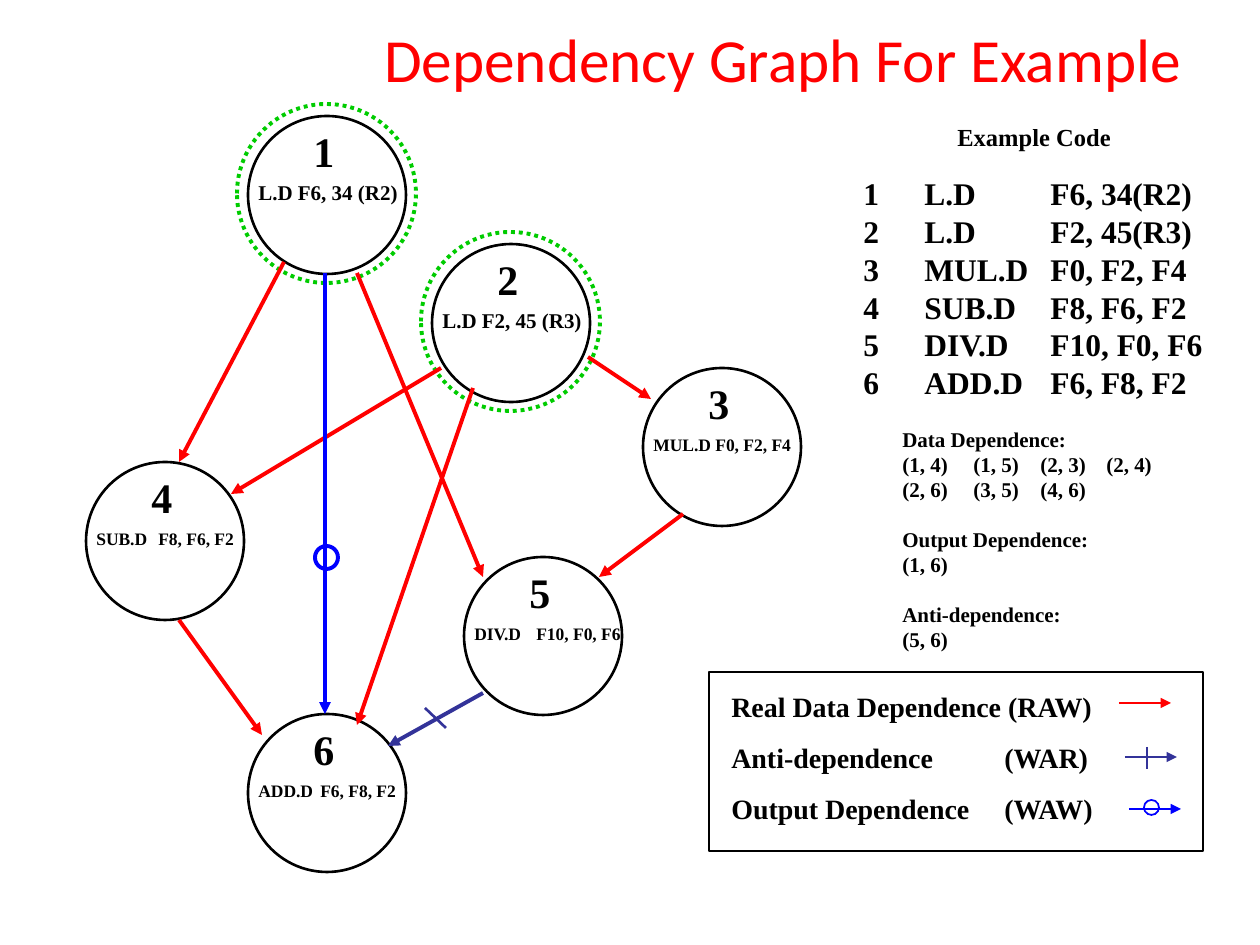
"""Build a slide with an instruction dependency graph, its code and its legend."""
import lxml.etree
import pptx
import pptx.dml.color
import pptx.enum.dml
import pptx.enum.shapes
import pptx.enum.text
import pptx.oxml.ns
import pptx.util

PX = 914400 / 126
SERIF = "Times New Roman"
BLACK = pptx.dml.color.RGBColor(0x00, 0x00, 0x00)
RED = pptx.dml.color.RGBColor(0xFF, 0x00, 0x00)
GREEN = pptx.dml.color.RGBColor(0x00, 0xCC, 0x00)
BLUE = pptx.dml.color.RGBColor(0x00, 0x00, 0xFF)
INDIGO = pptx.dml.color.RGBColor(0x33, 0x33, 0x99)
OVAL = pptx.enum.shapes.MSO_SHAPE.OVAL
RECTANGLE = pptx.enum.shapes.MSO_SHAPE.RECTANGLE
NODE_SIZE = 158
RING_SIZE = 179

NODES = [
    ("1", "L.D F6, 34 (R2)", 162, 13, True),
    ("2", "L.D F2, 45 (R3)", 346, 141, True),
    ("3", "MUL.D\tF0, F2, F4", 557, 265, False),
    ("4", "SUB.D\tF8, F6, F2", 0, 359, False),
    ("5", "DIV.D\tF10, F0, F6", 378, 454, False),
    ("6", "ADD.D\tF6, F8, F2", 162, 611, False),
]
DATA_DEPENDENCES = [
    (198, 159, 93, 359),
    (271, 170, 397, 474),
    (502, 254, 565, 296),
    (355, 265, 145, 391),
    (387, 285, 271, 622),
    (597, 411, 513, 474),
    (93, 517, 176, 632),
]
CODE = [
    "L.D\tF6, 34(R2)",
    "L.D\tF2, 45(R3)",
    "MUL.D\tF0, F2, F4",
    "SUB.D\tF8, F6, F2",
    "DIV.D\tF10, F0, F6",
    "ADD.D\tF6, F8, F2",
]
DEPENDENCES = [
    "Data Dependence:",
    "(1, 4)\t(1, 5)\t(2, 3)\t(2, 4)",
    "(2, 6)\t(3, 5)\t(4, 6)",
    "Output Dependence:",
    "(1, 6)",
    "Anti-dependence:",
    "(5, 6)",
]
LEGEND = [
    "Real Data Dependence (RAW)",
    "Anti-dependence\t(WAR)",
    "Output Dependence\t(WAW)",
]


def px(length):
    """Turn a length in px into EMU."""
    return pptx.util.Emu(round(length * PX))


def add_text(slide, lines, left, top, width, height, *, size, font=SERIF, color=BLACK,
             bold=True, align=pptx.enum.text.PP_ALIGN.LEFT,
             anchor=pptx.enum.text.MSO_ANCHOR.TOP, tabs=(), gaps=None):
    """Add lines of text with tab stops in px and gaps in points by line index."""
    frame = slide.shapes.add_textbox(px(left), px(top), px(width), px(height)).text_frame
    frame.word_wrap = True
    frame.vertical_anchor = anchor
    for index, line in enumerate(lines):
        paragraph = frame.paragraphs[0] if index == 0 else frame.add_paragraph()
        paragraph.alignment = align
        if gaps and index in gaps:
            paragraph.space_before = pptx.util.Pt(gaps[index])
        if tabs:
            properties = paragraph._p.get_or_add_pPr()
            stops = lxml.etree.SubElement(properties, pptx.oxml.ns.qn("a:tabLst"))
            for stop in tabs:
                lxml.etree.SubElement(stops, pptx.oxml.ns.qn("a:tab"), pos=str(px(stop)), algn="l")
        run = paragraph.add_run()
        run.text = line
        run.font.name = font
        run.font.size = pptx.util.Pt(size)
        run.font.bold = bold
        run.font.color.rgb = color


def add_outline(slide, preset, left, top, width, height, color, weight, dash=None):
    """Add an unfilled preset shape."""
    outline = slide.shapes.add_shape(preset, px(left), px(top), px(width), px(height))
    outline.shadow.inherit = False
    outline.fill.background()
    outline.line.color.rgb = color
    outline.line.width = pptx.util.Pt(weight)
    if dash:
        outline.line.dash_style = dash


def add_line(slide, x1, y1, x2, y2, color, weight, arrow=True):
    """Add a straight line, with an arrowhead at its end unless told otherwise."""
    line = slide.shapes.add_connector(
        pptx.enum.shapes.MSO_CONNECTOR.STRAIGHT, px(x1), px(y1), px(x2), px(y2))
    line.line.color.rgb = color
    line.line.width = pptx.util.Pt(weight)
    properties = line._element.spPr
    if arrow:
        stroke = properties.find(pptx.oxml.ns.qn("a:ln"))
        lxml.etree.SubElement(stroke, pptx.oxml.ns.qn("a:tailEnd"), type="triangle")
    lxml.etree.SubElement(properties, pptx.oxml.ns.qn("a:effectLst"))


def add_node(slide, left, top, number, instruction, ringed):
    """Place one numbered instruction circle, ringed in dots if it is a load."""
    add_outline(slide, OVAL, left, top, NODE_SIZE, NODE_SIZE, BLACK, 1.5)
    add_text(slide, [instruction], left - 2, top + (57 if ringed else 60), 176, 38,
             size=12 if ringed else 10, tabs=() if ringed else (62,))
    add_text(slide, [number], left + 53, top + 3, 50, 63, size=24)
    if ringed:
        add_outline(slide, OVAL, left - 11, top - 12, RING_SIZE, RING_SIZE, GREEN, 2.25,
                    pptx.enum.dml.MSO_LINE.ROUND_DOT)


def add_graph(slide, left, top):
    """Place the nodes and the dependences between them."""
    for number, instruction, x, y, ringed in NODES:
        add_node(slide, left + x, top + y, number, instruction, ringed)
    for x1, y1, x2, y2 in DATA_DEPENDENCES:
        add_line(slide, left + x1, top + y1, left + x2, top + y2, RED, 2.25)
    add_line(slide, left + 339, top + 605, left + 360, top + 625, INDIGO, 1.5, arrow=False)
    add_line(slide, left + 397, top + 590, left + 302, top + 643, INDIGO, 2.25)
    add_outline(slide, OVAL, left + 229, top + 443, 23, 23, BLUE, 2.25)
    add_line(slide, left + 239, top + 170, left + 239, top + 611, BLUE, 2.25)


def add_code(slide, left, top):
    """Place the heading, the numbered code and the list of dependences."""
    numbers = [str(number) for number in range(1, len(CODE) + 1)]
    add_text(slide, ["Example Code"], left + 94, top, 190, 43, size=14)
    add_text(slide, numbers, left, top + 52, 46, 239, size=18)
    add_text(slide, CODE, left + 61, top + 52, 312, 239, size=18, tabs=(126,))
    add_text(slide, DEPENDENCES, left + 39, top + 304, 296, 239, size=12,
             tabs=(71, 138, 204), gaps={3: 14, 5: 14})


def add_legend(slide, left, top, width, height):
    """Place the framed key to the three kinds of dependence."""
    add_text(slide, LEGEND, left + 10, top + 11, 393, 147, size=16,
             tabs=(273,), gaps={1: 10, 2: 10})
    for x, y, color in ((410, 31, RED), (416, 85, INDIGO), (420, 137, BLUE)):
        add_line(slide, left + x, top + y, left + x + 52, top + y, color, 1)
    add_line(slide, left + 438, top + 75, left + 438, top + 97, INDIGO, 1, arrow=False)
    add_outline(slide, OVAL, left + 435, top + 128, 15, 15, BLUE, 1)
    add_outline(slide, RECTANGLE, left, top, width, height, BLACK, 1)


def main():
    """Build the slide and save it."""
    deck = pptx.Presentation()
    deck.slide_width, deck.slide_height = px(1260), px(945)
    slide = deck.slides.add_slide(deck.slide_layouts[6])
    add_graph(slide, 86, 103)
    add_code(slide, 851, 116)
    add_legend(slide, 709, 672, 494, 179)
    add_text(slide, ["Dependency Graph For Example"], 300, 0, 966, 116, size=35,
             font="Calibri", color=RED, bold=False, align=pptx.enum.text.PP_ALIGN.CENTER,
             anchor=pptx.enum.text.MSO_ANCHOR.MIDDLE)
    deck.save("out.pptx")


if __name__ == "__main__":
    main()
